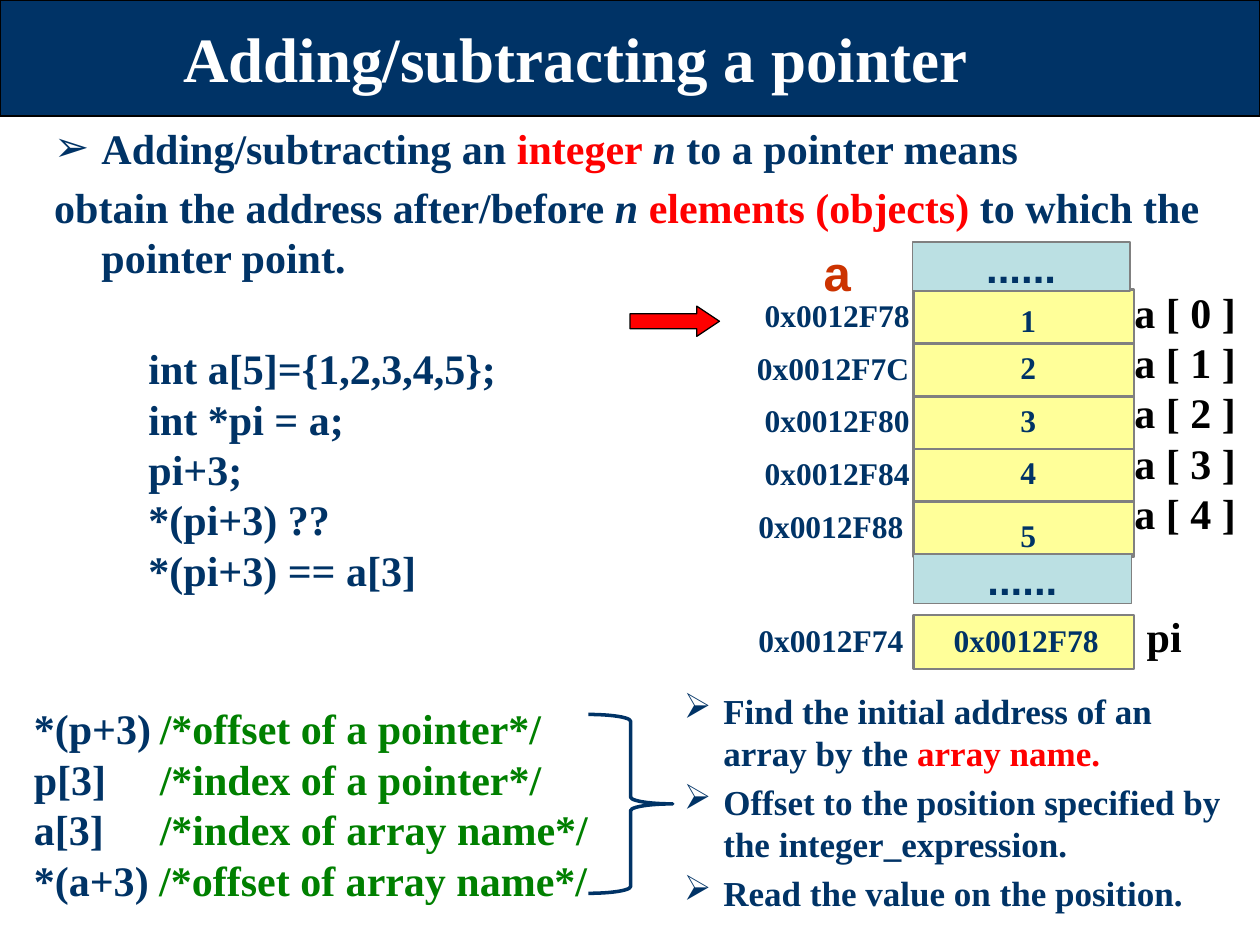
from typing import NamedTuple, Optional

import lxml.etree
import pptx
import pptx.dml.color
import pptx.enum.shapes
import pptx.enum.text
import pptx.oxml.ns
import pptx.util

RGB = pptx.dml.color.RGBColor
SHAPE = pptx.enum.shapes.MSO_SHAPE
ALIGN = pptx.enum.text.PP_ALIGN
ANCHOR = pptx.enum.text.MSO_ANCHOR
qn = pptx.oxml.ns.qn

NAVY = RGB(0x00, 0x33, 0x66)
WHITE = RGB(0xFF, 0xFF, 0xFF)
BLACK = RGB(0x00, 0x00, 0x00)
RED = RGB(0xFF, 0x00, 0x00)
RUST = RGB(0xCC, 0x33, 0x00)
GREEN = RGB(0x00, 0x80, 0x00)
GRAY = RGB(0x80, 0x80, 0x80)
YELLOW = RGB(0xFF, 0xFF, 0x99)
AQUA = RGB(0xBB, 0xE0, 0xE3)

COLUMNS, ROWS = 100, 75  # layout grid of the slide
CELL_TOP, CELL_STEP = 23.1, 4.18

prs = pptx.Presentation()
prs.slide_width, prs.slide_height = pptx.util.Inches(10), pptx.util.Inches(7.5)
COL, ROW = prs.slide_width / COLUMNS, prs.slide_height / ROWS


class Box(NamedTuple):
    """A place on the grid, in columns and rows."""
    x: float
    y: float
    w: float
    h: float

    def emu(self) -> list[int]:
        return [round(self.x * COL), round(self.y * ROW),
                round(self.w * COL), round(self.h * ROW)]


class Span(NamedTuple):
    text: str
    color: Optional[RGB] = None
    italic: bool = False


class Para(NamedTuple):
    spans: list[Span]
    bullet: Optional[str] = None


class Cell(NamedTuple):
    value: str
    value_y: float
    address: str
    address_x: float


def plain(*lines: str) -> list[Para]:
    return [Para([Span(line)]) for line in lines]


def write(tf, paras: list[Para], *, size: float = 24, color: RGB = NAVY,
          font: str = "Times New Roman", align=ALIGN.LEFT, anchor=ANCHOR.TOP,
          wrap: bool = False, margin: float = 0, hang: float = 0,
          gap: float = 0) -> None:
    """Fill a text frame; margin and hang are in columns, gap in points."""
    tf.word_wrap = wrap
    tf.auto_size = pptx.enum.text.MSO_AUTO_SIZE.NONE
    tf.vertical_anchor = anchor
    for i, para in enumerate(paras):
        p = tf.add_paragraph() if i else tf.paragraphs[0]
        if hang:
            pPr = p._p.get_or_add_pPr()
            pPr.set("marL", str(round(margin * COL)))
            pPr.set("indent", str(round(-hang * COL)))
            tag = "a:buChar" if para.bullet else "a:buNone"
            bullet = lxml.etree.SubElement(pPr, qn(tag))
            if para.bullet:
                bullet.set("char", para.bullet)
        p.alignment = align
        p.space_before = pptx.util.Pt(gap if i else 0)
        for span in para.spans:
            r = p.add_run()
            r.text = span.text
            r.font.name, r.font.size = font, pptx.util.Pt(size)
            r.font.bold, r.font.italic = True, span.italic
            r.font.color.rgb = span.color or color


def add_text(s, box: Box, paras: list[Para], **fmt) -> None:
    write(s.shapes.add_textbox(*box.emu()).text_frame, paras, **fmt)


def add_shape(s, kind, box: Box, fill: Optional[RGB], line: RGB,
              width: float, adjust: tuple[float, ...] = ()):
    sp = s.shapes.add_shape(kind, *box.emu())
    sp.shadow.inherit = False
    if fill is None:
        sp.fill.background()
    else:
        sp.fill.solid()
        sp.fill.fore_color.rgb = fill
    sp.line.color.rgb, sp.line.width = line, pptx.util.Pt(width)
    for i, value in enumerate(adjust):
        sp.adjustments[i] = value
    return sp


def add_rule(s, x: float, y: float, length: float) -> None:
    left, top, width, _ = Box(x, y, length, 0).emu()
    line = s.shapes.add_connector(pptx.enum.shapes.MSO_CONNECTOR.STRAIGHT,
                                  left, top, left + width, top)
    line.line.color.rgb, line.line.width = GRAY, pptx.util.Pt(1.5)
    lxml.etree.SubElement(line._element.spPr, qn("a:effectLst"))


def add_heading(s) -> None:
    banner = add_shape(s, SHAPE.RECTANGLE, Box(0, 0, COLUMNS, 9.2), NAVY, BLACK, 0.75)
    s.shapes._spTree.insert(2, banner._element)  # behind the placeholders
    title, body = s.placeholders
    for sp, box in (title, Box(2.5, 0.8, 87.5, 7.5)), (body, Box(3.3, 9.2, 94.2, 61.7)):
        sp.left, sp.top, sp.width, sp.height = box.emu()
    write(title.text_frame, plain("Adding/subtracting a pointer "), size=36,
          color=WHITE, align=ALIGN.CENTER, anchor=ANCHOR.MIDDLE, wrap=True)
    write(body.text_frame, [
        Para([Span("Adding/subtracting an "), Span("integer ", RED),
              Span("n", italic=True), Span(" to a pointer means")], "➢"),
        Para([Span("obtain the address after/before "), Span("n ", italic=True),
              Span("elements (objects) ", RED), Span("to which the pointer point.")]),
    ], wrap=True, margin=3.75, hang=3.75, gap=4.8)


def add_memory(s) -> None:
    """Draw the array cells with their addresses, values and index names."""
    cells = [Cell("1", 23.4, "0x0012F78", 59.7), Cell("2", 27.1, "0x0012F7C", 59.1),
             Cell("3", 31.3, "0x0012F80", 59.7), Cell("4", 35.5, "0x0012F84", 59.7),
             Cell("5", 40.5, "0x0012F88", 59.2)]
    add_text(s, Box(89, 22.1, 10.1, 21.2), plain(*(f"a [ {i} ]" for i in range(len(cells)))),
             color=BLACK, align=ALIGN.CENTER, anchor=ANCHOR.MIDDLE)
    add_text(s, Box(63.3, 19.6, 6.3, 3.9), plain("a"), size=28, color=RUST,
             font="Arial", align=ALIGN.CENTER, anchor=ANCHOR.MIDDLE)
    add_shape(s, SHAPE.RECTANGLE, Box(72.5, 23, 17.5, 21.2), YELLOW, GRAY, 1.5)
    for i in range(len(cells)):
        add_rule(s, 72.4, CELL_TOP + (i + 1) * CELL_STEP, 17.5)
    for x, y in (72.5, 44), (72.4, 19.2):
        sp = add_shape(s, SHAPE.RECTANGLE, Box(x, y, 17.3, 3.9), AQUA, GRAY, 0.75)
        write(sp.text_frame, plain("......"), font="Arial", align=ALIGN.CENTER,
              anchor=ANCHOR.MIDDLE)
    for i, cell in enumerate(cells):
        add_text(s, Box(80, cell.value_y, 3.3, 4), plain(cell.value), size=18)
        add_text(s, Box(cell.address_x, 23 + i * CELL_STEP, 13.7, 4),
                 plain(cell.address), size=18)

    add_shape(s, SHAPE.RECTANGLE, Box(72.5, 48.8, 17.5, 4.3), YELLOW, GRAY, 1.5)
    for x, address in (74.7, "0x0012F78"), (59.2, "0x0012F74"):
        add_text(s, Box(x, 48.8, 13.7, 4), plain(address), size=18)
    add_text(s, Box(90, 47.9, 4.8, 5.1), plain("pi"), color=BLACK,
             align=ALIGN.CENTER, anchor=ANCHOR.MIDDLE)
    add_shape(s, SHAPE.RIGHT_ARROW, Box(50, 24.3, 7.1, 2.4), RED, BLACK, 0.75, (0.5, 0.75))


def add_access_forms(s) -> None:
    forms = [("*(p+3)\t", "offset of a pointer"), ("p[3]\t", "index of a pointer"),
             ("a[3]\t", "index of array name"), ("*(a+3) ", "offset of array name")]
    add_text(s, Box(1.7, 55.3, 46.5, 17.2),
             [Para([Span(code), Span(f"/*{note}*/", GREEN)]) for code, note in forms])
    add_text(s, Box(48.3, 54.2, 50, 19.2), [
        Para([Span("Find the initial address of an array by the "),
              Span("array name.", RED)], "➢"),
        Para([Span("Offset to the position specified by the integer_expression.")], "➢"),
        Para([Span("Read the value on the position.")], "➢"),
    ], size=20, wrap=True, margin=8.13, hang=3.13, gap=4)
    add_shape(s, SHAPE.RIGHT_BRACE, Box(46.7, 56.7, 6.7, 14.2), None, NAVY, 2, (0.08, 0.5))


def main() -> None:
    s = prs.slides.add_slide(prs.slide_layouts[1])
    add_heading(s)
    add_text(s, Box(10.8, 26.7, 29.9, 21.2), plain(
        "int a[5]={1,2,3,4,5};", "int *pi = a;", "pi+3;", "*(pi+3) ??", "*(pi+3) == a[3]"))
    add_memory(s)
    add_access_forms(s)
    prs.save("out.pptx")


if __name__ == "__main__":
    main()
